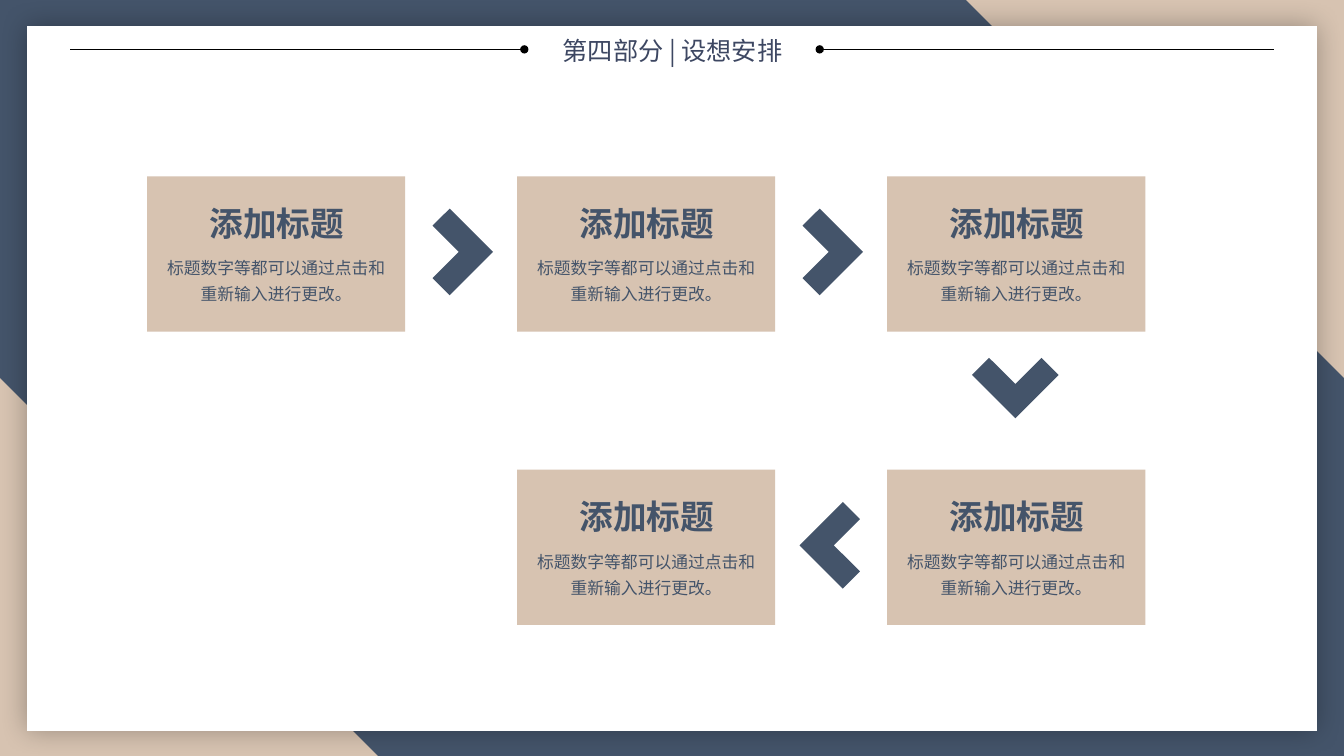
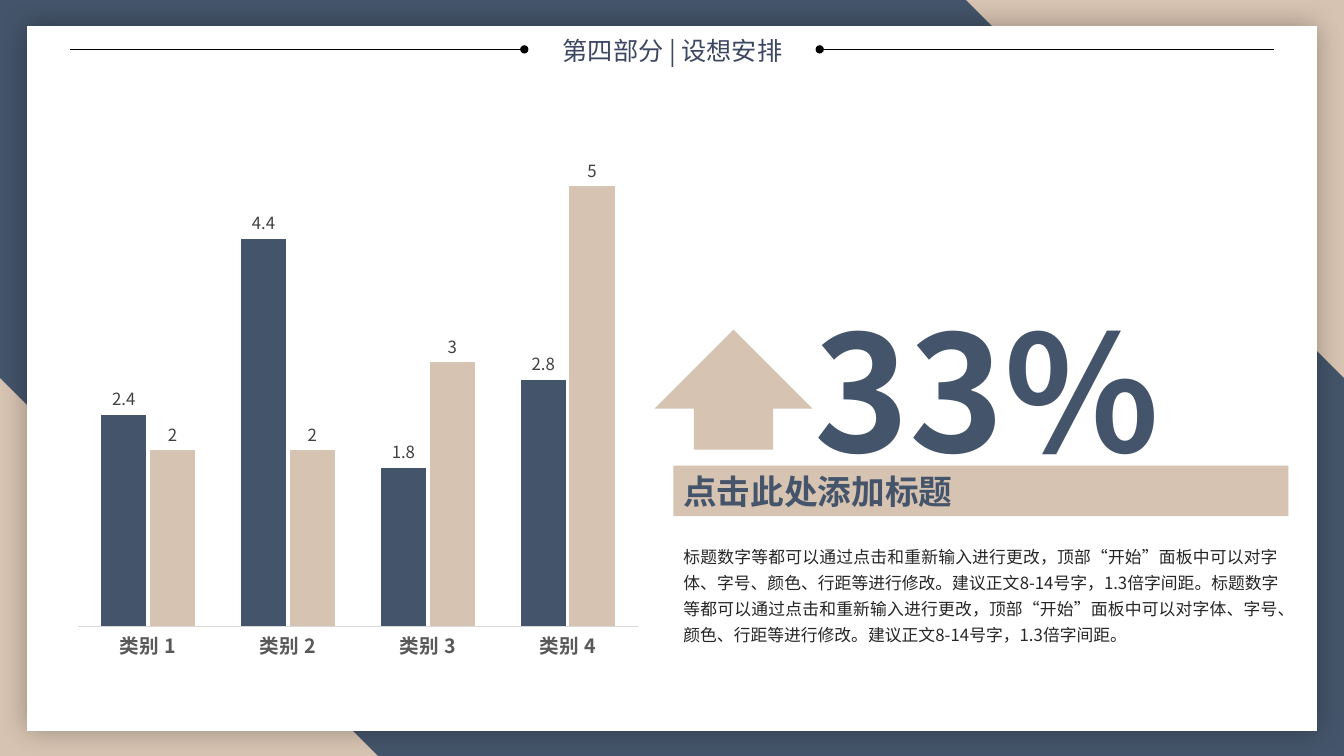
from typing import NamedTuple

from lxml import etree
from pptx import Presentation
from pptx.chart.data import CategoryChartData
from pptx.dml.color import RGBColor
from pptx.enum.chart import XL_CHART_TYPE, XL_LABEL_POSITION, XL_TICK_MARK
from pptx.enum.shapes import MSO_CONNECTOR, MSO_SHAPE
from pptx.enum.text import MSO_ANCHOR, MSO_AUTO_SIZE, PP_ALIGN
from pptx.oxml.ns import qn
from pptx.util import Inches, Pt

RECTANGLE = MSO_SHAPE.RECTANGLE
SNIPPED = MSO_SHAPE.SNIP_2_DIAG_RECTANGLE
UP_ARROW = MSO_SHAPE.UP_ARROW
LEFT, CENTER, JUSTIFY = PP_ALIGN.LEFT, PP_ALIGN.CENTER, PP_ALIGN.JUSTIFY
TOP, MIDDLE = MSO_ANCHOR.TOP, MSO_ANCHOR.MIDDLE

FONT = "Noto Sans CJK SC"
COLORS = {
    "navy": "44546A",
    "sand": "D7C3B1",
    "white": "FFFFFF",
    "black": "000000",
    "header": "3D4762",
    "body": "262626",
    "label": "404040",
    "category": "595959",
    "axis": "D9D9D9",
}
HEADER = "第四部分 | 设想安排"
CARD_TITLE = "添加标题"
CARD_BODY = "标题数字等都可以通过点击和重新输入进行更改。"
DETAIL = (
    "标题数字等都可以通过点击和重新输入进行更改，顶部“开始”面板中可以对字体、"
    "字号、颜色、行距等进行修改。建议正文8-14号字，1.3倍字间距。"
)


class Box(NamedTuple):
    left: float
    top: float
    width: float
    height: float

    def lengths(self):
        return [Inches(value) for value in self]


class TextStyle(NamedTuple):
    size: float
    color: str
    bold: bool = False
    align: PP_ALIGN = CENTER
    spacing: float = 1.0
    anchor: MSO_ANCHOR = TOP
    wrap: bool = True


class Card(NamedTuple):
    column: int
    row: int


class Chevron(NamedTuple):
    tip_x: float
    tip_y: float
    direction: tuple[int, int]


class Series(NamedTuple):
    name: str
    values: tuple[float, ...]
    color: str


HEADER_STYLE = TextStyle(18, "header", anchor=MIDDLE)
CARD_TITLE_STYLE = TextStyle(24, "navy", bold=True, spacing=0.9)
CARD_BODY_STYLE = TextStyle(12, "navy", spacing=1.3)
BAND_STYLE = TextStyle(24, "navy", bold=True, align=LEFT, anchor=MIDDLE)
DETAIL_STYLE = TextStyle(12, "body", align=JUSTIFY, spacing=1.3)
FIGURE_STYLE = TextStyle(115, "navy", bold=True, wrap=False)

# Card grid and the chevrons between the cards
CARD_LEFT, CARD_STEP = 1.46, 3.67
CARD_TOPS = (1.75, 4.66)
CARD_WIDTH, CARD_HEIGHT = 2.56, 1.54
CARDS = (Card(0, 0), Card(1, 0), Card(2, 0), Card(2, 1), Card(1, 1))
CHEVRONS = (
    Chevron(4.89, 2.5, (1, 0)),
    Chevron(8.56, 2.5, (1, 0)),
    Chevron(10.07, 4.15, (0, 1)),
    Chevron(7.93, 5.41, (-1, 0)),
)
# Distance along the direction and across it, measured from the tip
CHEVRON_OUTLINE = (
    (0, 0), (-0.43, 0.43), (-0.6, 0.26), (-0.34, 0), (-0.6, -0.26), (-0.43, -0.43),
)

CATEGORIES = ("类别 1", "类别 2", "类别 3", "类别 4")
SERIES = (
    Series("Series 1", (2.4, 4.4, 1.8, 2.8), "navy"),
    Series("Series 2", (2, 2, 3, 5), "sand"),
)


def rgb(name: str) -> RGBColor:
    return RGBColor.from_string(COLORS[name])


def style_font(font, size: float, color: str, bold: bool = False) -> None:
    font.name = FONT
    font.size = Pt(size)
    font.bold = bold
    font.color.rgb = rgb(color)


def paint(shape, color: str) -> None:
    shape.shadow.inherit = False
    shape.fill.solid()
    shape.fill.fore_color.rgb = rgb(color)
    shape.line.fill.background()


def add_block(slide, kind, box: Box, color: str, adjustments=()):
    shape = slide.shapes.add_shape(kind, *box.lengths())
    for index, value in enumerate(adjustments):
        shape.adjustments[index] = value
    paint(shape, color)
    return shape


def write(shape, text: str, style: TextStyle) -> None:
    frame = shape.text_frame
    frame.word_wrap = style.wrap
    frame.auto_size = MSO_AUTO_SIZE.SHAPE_TO_FIT_TEXT
    frame.vertical_anchor = style.anchor
    paragraph = frame.paragraphs[0]
    paragraph.alignment = style.align
    paragraph.line_spacing = style.spacing
    run = paragraph.add_run()
    run.text = text
    style_font(run.font, style.size, style.color, style.bold)
    east_asian = etree.SubElement(run.font._element, qn("a:ea"))
    east_asian.set("typeface", FONT)


def add_text(slide, box: Box, text: str, style: TextStyle) -> None:
    write(slide.shapes.add_textbox(*box.lengths()), text, style)


def add_glow_shadow(shape) -> None:
    effects = shape._element.spPr.find(qn("a:effectLst"))
    shadow = etree.SubElement(effects, qn("a:outerShdw"), blurRad=str(Pt(20)), dist="0")
    color = etree.SubElement(shadow, qn("a:srgbClr"), val=COLORS["black"])
    etree.SubElement(color, qn("a:alpha"), val="30000")


def add_header_rule(slide, inner: float, outer: float) -> None:
    y = Inches(0.49)
    rule = slide.shapes.add_connector(
        MSO_CONNECTOR.STRAIGHT, Inches(inner), y, Inches(outer), y
    )
    rule.line.color.rgb = rgb("black")
    rule.line.width = Pt(0.5)
    etree.SubElement(rule.line._get_or_add_ln(), qn("a:headEnd"), type="oval")
    etree.SubElement(rule._element.spPr, qn("a:effectLst"))


def add_framed_slide(presentation):
    """Slide with the shared backdrop, white panel and section header."""
    slide = presentation.slides.add_slide(presentation.slide_layouts[6])
    slide.background.fill.solid()
    slide.background.fill.fore_color.rgb = rgb("sand")
    add_block(slide, SNIPPED, Box(0, 0, 13.33, 7.5), "navy", (0, 0.5))
    panel = add_block(slide, RECTANGLE, Box(0.27, 0.26, 12.79, 6.99), "white")
    add_glow_shadow(panel)
    add_header_rule(slide, 5.2, 0.69)
    add_header_rule(slide, 8.13, 12.64)
    add_text(slide, Box(5.34, 0.29, 2.66, 0.41), HEADER, HEADER_STYLE)
    return slide


def add_card(slide, card: Card) -> None:
    left = CARD_LEFT + card.column * CARD_STEP
    top = CARD_TOPS[card.row]
    add_block(slide, RECTANGLE, Box(left, top, CARD_WIDTH, CARD_HEIGHT), "sand")
    add_text(slide, Box(left + 0.24, top + 0.26, 2.09, 0.46), CARD_TITLE, CARD_TITLE_STYLE)
    add_text(slide, Box(left + 0.08, top + 0.7, 2.4, 0.63), CARD_BODY, CARD_BODY_STYLE)


def add_chevron(slide, chevron: Chevron) -> None:
    dx, dy = chevron.direction
    points = [
        (
            Inches(chevron.tip_x + along * dx - across * dy),
            Inches(chevron.tip_y + along * dy + across * dx),
        )
        for along, across in CHEVRON_OUTLINE
    ]
    builder = slide.shapes.build_freeform(*points[0])
    builder.add_line_segments(points[1:], close=True)
    paint(builder.convert_to_shape(), "navy")


def add_column_chart(slide, box: Box) -> None:
    data = CategoryChartData()
    data.categories = CATEGORIES
    for series in SERIES:
        data.add_series(series.name, series.values)
    chart = slide.shapes.add_chart(
        XL_CHART_TYPE.COLUMN_CLUSTERED, *box.lengths(), data
    ).chart
    chart.has_legend = False
    chart.has_title = False
    style_font(chart.font, 10, "black")

    category_axis = chart.category_axis
    category_axis.major_tick_mark = XL_TICK_MARK.NONE
    category_axis.format.line.color.rgb = rgb("axis")
    category_axis.format.line.width = Pt(0.75)
    style_font(category_axis.tick_labels.font, 14, "category", bold=True)

    value_axis = chart.value_axis
    value_axis.visible = False
    value_axis.has_major_gridlines = False
    value_axis.minimum_scale = 0
    value_axis.maximum_scale = 6

    plot = chart.plots[0]
    plot.gap_width = 102
    plot.overlap = -8
    plot.vary_by_categories = False
    for columns, series in zip(plot.series, SERIES):
        columns.format.fill.solid()
        columns.format.fill.fore_color.rgb = rgb(series.color)
        labels = columns.data_labels
        labels.show_value = True
        labels.position = XL_LABEL_POSITION.OUTSIDE_END
        style_font(labels.font, 12, "label")


def build_process_slide(presentation) -> None:
    slide = add_framed_slide(presentation)
    for card in CARDS:
        add_card(slide, card)
    for chevron in CHEVRONS:
        add_chevron(slide, chevron)


def build_growth_slide(presentation) -> None:
    slide = add_framed_slide(presentation)
    add_column_chart(slide, Box(0.66, 0.86, 5.78, 5.79))
    band = add_block(slide, RECTANGLE, Box(6.68, 4.62, 6.1, 0.5), "sand")
    write(band, "点击此处添加标题", BAND_STYLE)
    add_text(slide, Box(6.68, 5.31, 6.1, 1.15), DETAIL * 2, DETAIL_STYLE)
    add_text(slide, Box(7.94, 2.84, 3.69, 2.04), "33%", FIGURE_STYLE)
    add_block(slide, UP_ARROW, Box(6.49, 3.27, 1.57, 1.19), "sand", (0.5, 0.659))


def main() -> None:
    presentation = Presentation()
    presentation.slide_width = Inches(13.33)
    presentation.slide_height = Inches(7.5)
    build_process_slide(presentation)
    build_growth_slide(presentation)
    presentation.save("out.pptx")


if __name__ == "__main__":
    main()
